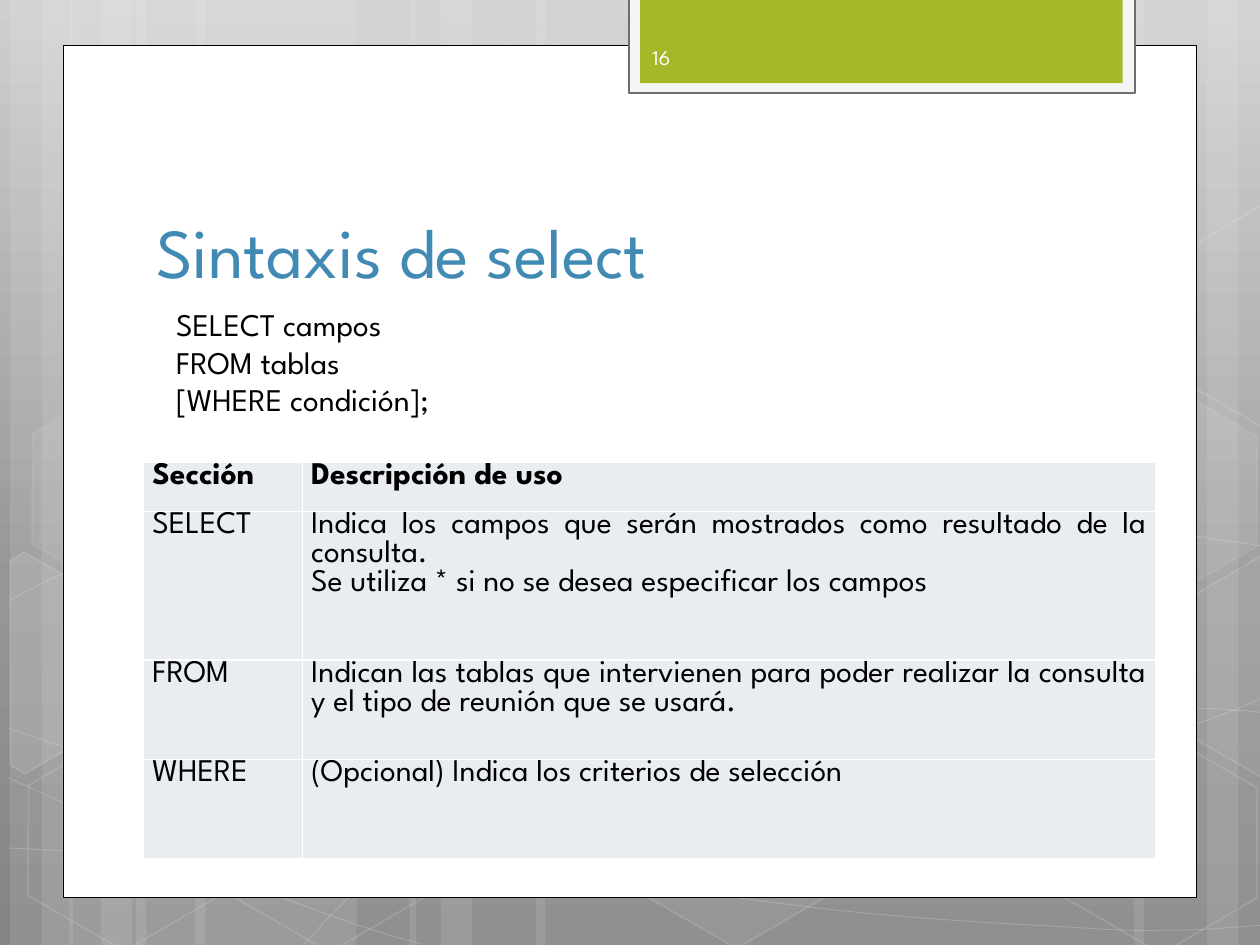
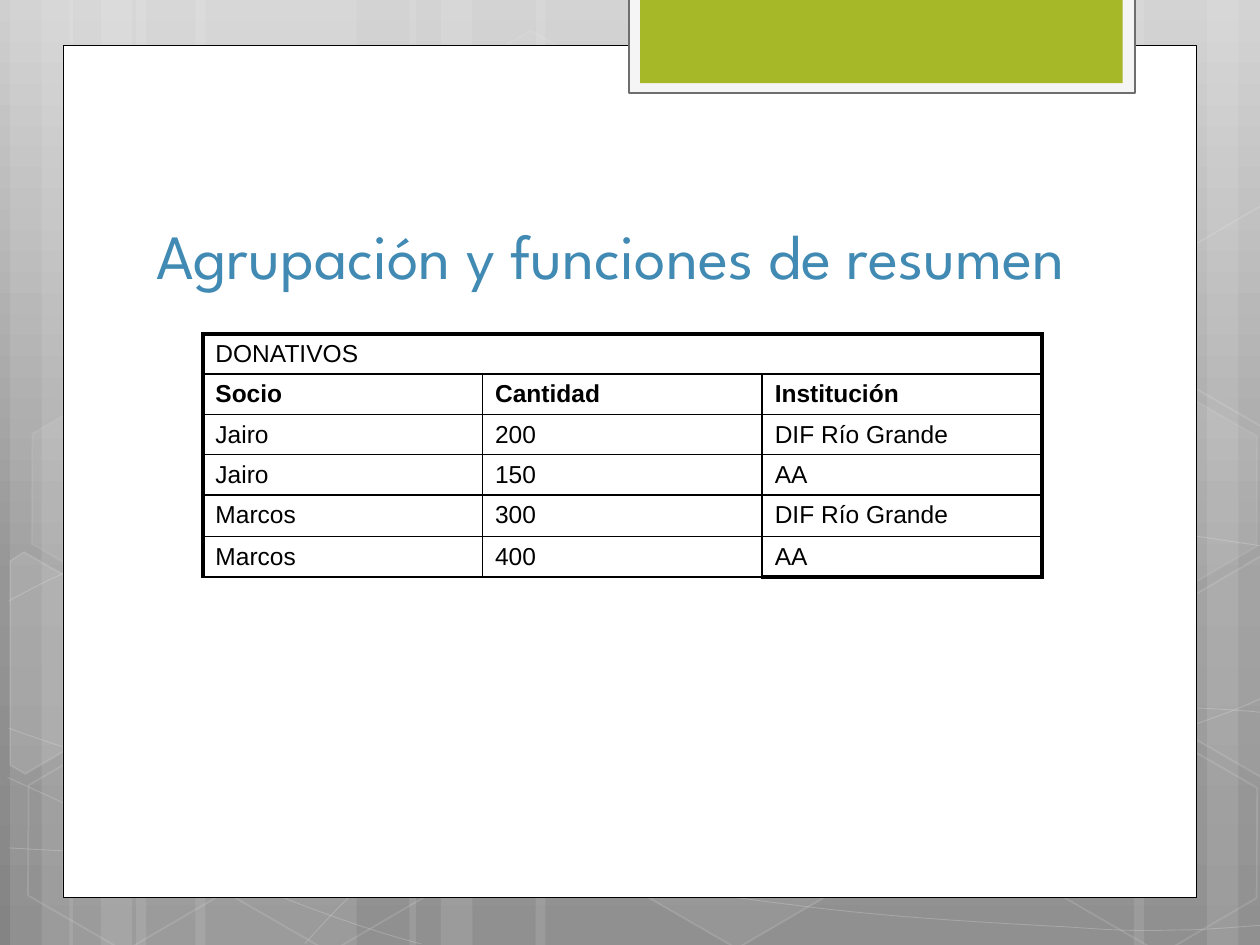
from copy import deepcopy
from dataclasses import dataclass
from math import cos, radians, sin
from typing import NamedTuple

from lxml import etree
from pptx import Presentation
from pptx import util as u
from pptx.dml.color import RGBColor
from pptx.enum import shapes, text
from pptx.oxml.ns import qn
from pptx.shapes.autoshape import Shape
from pptx.slide import Slide
from pptx.table import Table, _Cell
from pptx.text.text import TextFrame

WHITE = RGBColor(0xFF, 0xFF, 0xFF)
BLACK = RGBColor(0, 0, 0)
GREEN = RGBColor(0xA6, 0xB7, 0x27)
TITLE_BLUE = RGBColor(0x41, 0x8A, 0xB3)
NUMBER_WHITE = RGBColor(0xFE, 0xFE, 0xFE)
TAB_GREY = RGBColor(0xF5, 0xF5, 0xF5)
TAB_EDGE = RGBColor(0x6E, 0x6E, 0x6E)
CELL_GREY = RGBColor(0xE9, 0xED, 0xF2)
BACKGROUND_STOPS = (
    (0, RGBColor(0xCF, 0xCF, 0xCF)),
    (0.62, RGBColor(0x96, 0x96, 0x96)),
    (1, RGBColor(0x84, 0x84, 0x84)),
)
SPARTAN = "League Spartan"
ARIAL = "Arial"
HEXAGON_TILT = 30

Point = tuple[float, float]


class Box(NamedTuple):
    left: float
    top: float
    width: float
    height: float

    def lengths(self) -> tuple[u.Length, ...]:
        return tuple(u.Inches(value) for value in self)


@dataclass(frozen=True)
class Paint:
    fill: RGBColor | None = None
    line: RGBColor | None = None
    width: float = 0
    fill_alpha: int = 100
    line_alpha: int = 100


@dataclass(frozen=True)
class Font:
    name: str
    size: int
    color: RGBColor = BLACK


class Hexagon(NamedTuple):
    left: float
    top: float
    fill_alpha: int
    line_alpha: int


class CutHexagon(NamedTuple):
    center: Point
    points: tuple[Point, ...]
    fill_alpha: int


CARD = (Box(0.5, 0.36, 9, 6.76), Paint(WHITE, BLACK, 0.5))
TAB = (Box(4.99, -0.02, 4.02, 0.76), Paint(TAB_GREY, TAB_EDGE, 1.25))
TAB_FACE = (Box(5.08, -0.02, 3.83, 0.68), Paint(GREEN))
TITLE_BOX = Box(1.14, 1.12, 7.68, 1.25)

BANDS = (
    (1.08, 1.75), (0.08, 0.5), (0.33, 0.83), (1.55, 1.75), (0.55, 0.5), (0.8, 0.83),
    (7.33, 1.75), (9.58, 0.5), (9, 0.83), (4.25, 3.08), (3.25, 0.5), (3.5, 0.83),
)
CURVES = (
    ((0.07, 6.73), (0.61, 6.76), (1.15, 6.79), (1.9, 6.78), (2.65, 6.77), (3.58, 6.75),
     (4.58, 6.65), (5.58, 6.55), (7, 6.36), (7.92, 6.17), (8.83, 5.98), (9.77, 5.68),
     (10.07, 5.51)),
    ((0.07, 4.77), (0.36, 4.61), (0.65, 4.46), (1.21, 4.31), (1.78, 4.16), (2.59, 3.94),
     (3.47, 3.87), (4.36, 3.8), (5.44, 3.79), (6.54, 3.87), (7.64, 3.95), (9.47, 4.26),
     (10.07, 4.34)),
    ((0.06, 6.17), (1.27, 6.72), (2.47, 7.27), (3.34, 7.49)),
    ((0.07, 5.78), (0.38, 5.89), (0.7, 6), (1.28, 6.16), (1.86, 6.31), (2.73, 6.56),
     (3.57, 6.73), (4.4, 6.9), (5.45, 7.08), (6.28, 7.18), (7.11, 7.29), (8, 7.33),
     (8.53, 7.36), (9.05, 7.4), (9.19, 7.38), (9.45, 7.38), (9.71, 7.37), (9.89, 7.35),
     (10.07, 7.34)),
    ((2.42, 7.49), (2.6, 7.29), (2.78, 7.09), (3.02, 6.91), (3.26, 6.73), (3.6, 6.53),
     (3.88, 6.39), (4.16, 6.25), (4.33, 6.19), (4.7, 6.09), (5.06, 5.99), (5.73, 5.85),
     (6.08, 5.78), (6.44, 5.71), (6.49, 5.71), (6.8, 5.69), (7.11, 5.66), (7.6, 5.63),
     (7.94, 5.62), (8.29, 5.61), (8.86, 5.62), (8.86, 5.62), (8.86, 5.62), (9.53, 5.62),
     (9.53, 5.62), (9.71, 5.63), (9.88, 5.64), (9.97, 5.65), (10.06, 5.66), (10.03, 5.65),
     (10.06, 5.66)),
)
HEXAGONS = (
    Hexagon(3.34, 0.36, 4, 8),
    Hexagon(4.97, 5.89, 6, 12),
    Hexagon(0.11, 5.91, 0, 12),
    Hexagon(0.14, 3.12, 7, 8),
    Hexagon(1.74, 5.92, 0, 12),
    Hexagon(7.53, 4.53, 10, 12),
    Hexagon(8.34, 5.93, 0, 12),
    Hexagon(8.34, 3.14, 7, 8),
)
CUT_HEXAGONS = (
    CutHexagon((0.36, 5.35), ((0.08, 4.45), (0.19, 4.38), (0.96, 4.82), (0.95, 5.7),
                              (0.2, 6.14), (0.08, 6.07)), 10),
    CutHexagon((9.85, 5.2), ((9.26, 4.85), (10.01, 4.41), (10.09, 4.46), (10.09, 6.13),
                             (10.02, 6.17), (9.26, 5.73)), 4),
    CutHexagon((9.85, 2.41), ((9.26, 2.07), (10.01, 1.63), (10.1, 1.68), (10.09, 3.35),
                              (10.02, 3.39), (9.26, 2.95)), 0),
)

CLAUSES = (
    (("Sección",), ("Descripción de uso",)),
    (("SELECT",), ("Indica los campos que serán mostrados como resultado de la consulta.",
                   "Se utiliza * si no se desea especificar los campos")),
    (("FROM",), ("Indican las tablas que intervienen para poder realizar la consulta "
                 "y el tipo de reunión que se usará.",)),
    (("WHERE",), ("(Opcional) Indica los criterios de selección",)),
)
DONATIONS = (
    ("DONATIVOS", "", ""),
    ("Socio", "Cantidad", "Institución"),
    ("Jairo", "200", "DIF Río Grande"),
    ("Jairo", "150", "AA"),
    ("Marcos", "300", "DIF Río Grande"),
    ("Marcos", "400", "AA"),
)


def set_alpha(shape: Shape, color_at: str, percent: int) -> None:
    color = shape.element.spPr.find("/".join(qn(tag) for tag in color_at.split("/")))
    if color is not None and percent < 100:
        etree.SubElement(color, qn("a:alpha")).set("val", str(percent * 1000))


def apply_paint(shape: Shape, paint: Paint) -> None:
    shape.shadow.inherit = False
    if paint.fill is None or paint.fill_alpha == 0:
        shape.fill.background()
    else:
        shape.fill.solid()
        shape.fill.fore_color.rgb = paint.fill
    if paint.line is None:
        shape.line.fill.background()
    else:
        shape.line.color.rgb = paint.line
        shape.line.width = u.Pt(paint.width)
    set_alpha(shape, "a:solidFill/a:srgbClr", paint.fill_alpha)
    set_alpha(shape, "a:ln/a:solidFill/a:srgbClr", paint.line_alpha)


def add_rectangle(slide: Slide, box: Box, paint: Paint) -> None:
    shape = slide.shapes.add_shape(shapes.MSO_SHAPE.RECTANGLE, *box.lengths())
    apply_paint(shape, paint)


def add_outline(slide: Slide, points: tuple[Point, ...], closed: bool, paint: Paint) -> Shape:
    start, *rest = [(u.Inches(x), u.Inches(y)) for x, y in points]
    builder = slide.shapes.build_freeform(*start)
    builder.add_line_segments(rest, close=closed)
    shape = builder.convert_to_shape()
    apply_paint(shape, paint)
    return shape


def add_curve(slide: Slide, knots: tuple[Point, ...]) -> None:
    shape = add_outline(slide, knots, False, Paint(None, WHITE, 0.5, line_alpha=20))
    segments = list(shape.element.iter(qn("a:lnTo")))
    outline = segments[0].getparent()
    for first in range(0, len(segments), 3):
        bezier = etree.SubElement(outline, qn("a:cubicBezTo"))
        for segment in segments[first:first + 3]:
            bezier.append(segment[0])
            outline.remove(segment)


def add_hexagon(slide: Slide, hexagon: Hexagon) -> None:
    box = Box(hexagon.left, hexagon.top, 1.75, 1.52)
    shape = slide.shapes.add_shape(shapes.MSO_SHAPE.HEXAGON, *box.lengths())
    shape.adjustments[0] = 0.285
    shape.rotation = HEXAGON_TILT
    apply_paint(shape, Paint(WHITE, WHITE, 1, hexagon.fill_alpha, hexagon.line_alpha))


def add_cut_hexagon(slide: Slide, hexagon: CutHexagon) -> None:
    center_x, center_y = hexagon.center
    cosine, sine = cos(radians(HEXAGON_TILT)), sin(radians(HEXAGON_TILT))
    upright = tuple(
        (center_x + (x - center_x) * cosine + (y - center_y) * sine,
         center_y - (x - center_x) * sine + (y - center_y) * cosine)
        for x, y in hexagon.points
    )
    shape = add_outline(slide, upright, True, Paint(WHITE, WHITE, 1, hexagon.fill_alpha, 12))
    shape.rotation = HEXAGON_TILT


def write_paragraphs(frame: TextFrame, lines: tuple[str, ...], font: Font, bold: bool = False,
                     align: text.PP_ALIGN = text.PP_ALIGN.LEFT) -> None:
    for index, line in enumerate(lines):
        paragraph = frame.add_paragraph() if index else frame.paragraphs[0]
        paragraph.alignment = align
        run = paragraph.add_run()
        run.text = line
        run.font.name = font.name
        run.font.size = u.Pt(font.size)
        run.font.bold = bold
        run.font.color.rgb = font.color


def add_text(slide: Slide, box: Box, lines: tuple[str, ...], font: Font,
             anchor: text.MSO_ANCHOR = text.MSO_ANCHOR.TOP) -> None:
    frame = slide.shapes.add_textbox(*box.lengths()).text_frame
    frame.word_wrap = True
    frame.vertical_anchor = anchor
    write_paragraphs(frame, lines, font)


def set_background(slide: Slide) -> None:
    fill = slide.background.fill
    fill.gradient()
    fill.gradient_angle = 270
    stop_list = next(slide.element.iter(qn("a:gsLst")))
    stop_list.append(deepcopy(stop_list[0]))
    for stop, (position, color) in zip(fill.gradient_stops, BACKGROUND_STOPS):
        stop.position = position
        stop.color.rgb = color


def add_themed_slide(presentation: Presentation, title: str, title_size: int) -> Slide:
    slide = presentation.slides.add_slide(presentation.slide_layouts[6])
    set_background(slide)
    for left, width in BANDS:
        add_rectangle(slide, Box(left, 0, width, 7.5), Paint(WHITE, fill_alpha=10))
    for knots in CURVES:
        add_curve(slide, knots)
    for hexagon in HEXAGONS:
        add_hexagon(slide, hexagon)
    for cut_hexagon in CUT_HEXAGONS:
        add_cut_hexagon(slide, cut_hexagon)
    for box, paint in (CARD, TAB, TAB_FACE):
        add_rectangle(slide, box, paint)
    add_text(slide, TITLE_BOX, (title,), Font(SPARTAN, title_size, TITLE_BLUE),
             text.MSO_ANCHOR.BOTTOM)
    return slide


def add_grid(slide: Slide, box: Box, columns: list[float], rows: list[float]) -> Table:
    table = slide.shapes.add_table(len(rows), len(columns), *box.lengths()).table
    table.first_row = table.horz_banding = False
    for column, width in zip(table.columns, columns):
        column.width = u.Inches(width)
    for row, height in zip(table.rows, rows):
        row.height = u.Inches(height)
    return table


def set_borders(cell: _Cell, color: RGBColor, widths: dict[str, float]) -> None:
    properties = cell._tc.get_or_add_tcPr()
    for index, side in enumerate("LRTB"):
        line = etree.Element(qn(f"a:ln{side}"), w=str(u.Pt(widths[side])))
        fill = etree.SubElement(line, qn("a:solidFill"))
        etree.SubElement(fill, qn("a:srgbClr")).set("val", str(color))
        properties.insert(index, line)


def add_clause_table(slide: Slide) -> None:
    table = add_grid(slide, Box(1.14, 3.67, 8.03, 3.15), [1.26, 6.77], [0.39, 1.18, 0.79, 0.79])
    for row, clause in enumerate(CLAUSES):
        for column, lines in enumerate(clause):
            cell = table.cell(row, column)
            cell.margin_left = cell.margin_right = u.Inches(0.07)
            cell.margin_top = cell.margin_bottom = u.Inches(0)
            cell.fill.solid()
            cell.fill.fore_color.rgb = CELL_GREY
            set_borders(cell, WHITE, dict.fromkeys("LRTB", 1))
            write_paragraphs(cell.text_frame, lines, Font(SPARTAN, 18), row == 0,
                             text.PP_ALIGN.JUSTIFY)


def add_donation_table(slide: Slide) -> None:
    thin, thick = 1, 2.25
    table = add_grid(slide, Box(1.61, 2.65, 6.67, 1.93), [2.22] * 3,
                     [0.32] * 4 + [0.33, 0.32])
    table.cell(0, 0).merge(table.cell(0, 2))
    last_row, last_column = len(DONATIONS) - 1, 2
    for row, values in enumerate(DONATIONS):
        for column, value in enumerate(values):
            cell = table.cell(row, column)
            cell.margin_bottom = u.Inches(0.03)
            cell.fill.background()
            set_borders(cell, BLACK, {
                "L": thick if column == 0 else thin,
                "R": thick if column == last_column or cell.is_merge_origin else thin,
                "T": thick if row == 0 else thin,
                "B": thick if (row, column) == (last_row, last_column) else thin,
            })
            if value:
                write_paragraphs(cell.text_frame, (value,), Font(ARIAL, 14), row == 1)


def main() -> None:
    presentation = Presentation()
    presentation.slide_width = u.Inches(10)
    presentation.slide_height = u.Inches(7.5)

    syntax = add_themed_slide(presentation, "Sintaxis de select", 40)
    add_clause_table(syntax)
    add_text(syntax, Box(5.08, 0.25, 1.46, 0.4), ("16",), Font(SPARTAN, 12, NUMBER_WHITE),
             text.MSO_ANCHOR.MIDDLE)
    add_text(syntax, Box(1.3, 2.37, 7.72, 1.01),
             ("SELECT campos", "FROM tablas", "[WHERE condición];"), Font(SPARTAN, 18))

    grouping = add_themed_slide(presentation, "Agrupación y funciones de resumen", 36)
    add_donation_table(grouping)

    presentation.save("out.pptx")


if __name__ == "__main__":
    main()
